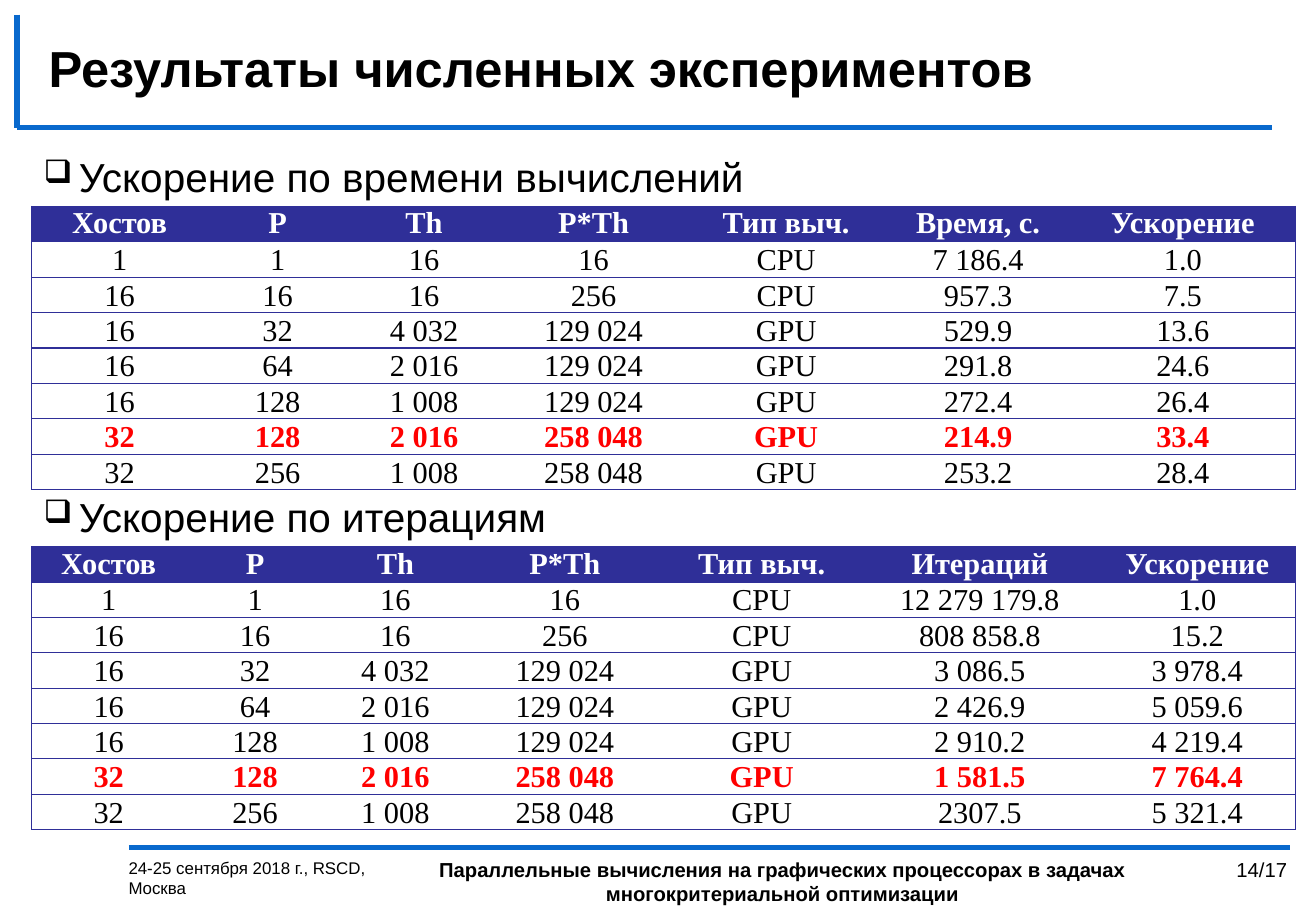
import dataclasses
import typing

import lxml.etree
import pptx
import pptx.dml.color
import pptx.enum.shapes
import pptx.enum.text
import pptx.oxml.ns
import pptx.util

Inches = pptx.util.Inches
Pt = pptx.util.Pt
qn = pptx.oxml.ns.qn
ALIGN = pptx.enum.text.PP_ALIGN
ANCHOR = pptx.enum.text.MSO_ANCHOR


@dataclasses.dataclass(frozen=True)
class Theme:
    rule: str = "0969CD"
    grid: str = "2F2F98"
    ink: str = "000000"
    paper: str = "FFFFFF"
    best: str = "FF0000"
    sans: str = "Arial"
    serif: str = "Times New Roman"
    title_size: int = 30
    heading_size: int = 24
    table_size: int = 18
    footer_size: int = 12
    date_size: int = 10
    rule_width: float = 3
    grid_width: float = 0.75


class Box(typing.NamedTuple):
    left: float
    top: float
    width: float
    height: float

    def emu(self):
        return [Inches(length) for length in self]


THEME = Theme()
SHARED_ROWS = [
    ("1", "1", "16", "16", "CPU"),
    ("16", "16", "16", "256", "CPU"),
    ("16", "32", "4 032", "129 024", "GPU"),
    ("16", "64", "2 016", "129 024", "GPU"),
    ("16", "128", "1 008", "129 024", "GPU"),
    ("32", "128", "2 016", "258 048", "GPU"),
    ("32", "256", "1 008", "258 048", "GPU"),
]
BEST_ROW = 6
SECTIONS = [
    {
        "heading": "Ускорение по времени вычислений",
        "measure": "Время, с.",
        "columns": [1.45, 1.15, 1.26, 1.53, 1.64, 1.52, 1.85],
        "results": [("7 186.4", "1.0"), ("957.3", "7.5"), ("529.9", "13.6"), ("291.8", "24.6"),
                    ("272.4", "26.4"), ("214.9", "33.4"), ("253.2", "28.4")],
    },
    {
        "heading": "Ускорение по итерациям",
        "measure": "Итераций",
        "columns": [1.27, 1.14, 1.17, 1.62, 1.62, 1.97, 1.61],
        "results": [("12 279 179.8", "1.0"), ("808 858.8", "15.2"), ("3 086.5", "3 978.4"),
                    ("2 426.9", "5 059.6"), ("2 910.2", "4 219.4"), ("1 581.5", "7 764.4"),
                    ("2307.5", "5 321.4")],
    },
]


def apply(target, values):
    for attribute, value in values.items():
        setattr(target, attribute, value)


def rgb(colour):
    return pptx.dml.color.RGBColor.from_string(colour)


def write(frame, text, size, align=ALIGN.LEFT, bold=False, colour=THEME.ink, face=THEME.sans):
    paragraph = frame.paragraphs[0]
    paragraph.alignment = align
    run = paragraph.add_run()
    run.text = text
    apply(run.font, {"name": face, "size": Pt(size), "bold": bold})
    run.font.color.rgb = rgb(colour)
    return paragraph


def add_text(slide, box, text, size, **style):
    frame = slide.shapes.add_textbox(*box.emu()).text_frame
    frame.word_wrap = True
    return write(frame, text, size, **style)


def add_rule(slide, start, end):
    rule = slide.shapes.add_connector(
        pptx.enum.shapes.MSO_CONNECTOR.STRAIGHT, *map(Inches, start + end))
    rule.line.color.rgb = rgb(THEME.rule)
    rule.line.width = Pt(THEME.rule_width)
    lxml.etree.SubElement(rule._element.spPr, qn("a:effectLst"))


def add_title(slide, box, text):
    corner = (box.left, box.top + box.height)
    add_rule(slide, corner, (box.left + box.width, corner[1]))
    add_rule(slide, (box.left, box.top), corner)
    title = slide.shapes.title
    place = Box(box.left + 0.16, box.top + 0.13, box.width, 0.61)
    apply(title, dict(zip(("left", "top", "width", "height"), place.emu())))
    apply(title.text_frame, {"vertical_anchor": ANCHOR.MIDDLE, "word_wrap": True})
    write(title.text_frame, text, THEME.title_size, bold=True)


def add_heading(slide, box, text):
    properties = add_text(slide, box, text, THEME.heading_size)._p.get_or_add_pPr()
    properties.set("marL", str(Inches(0.29)))
    properties.set("indent", str(Inches(-0.29)))
    lxml.etree.SubElement(properties, qn("a:buSzPct"), val="80000")
    lxml.etree.SubElement(properties, qn("a:buChar"), char="❑")


def set_borders(cell, visible):
    properties = cell._tc.get_or_add_tcPr()
    for side in ("L", "R", "T", "B"):
        border = lxml.etree.SubElement(
            properties, qn(f"a:ln{side}"), w=str(Pt(THEME.grid_width)))
        if side in visible:
            fill = lxml.etree.SubElement(border, qn("a:solidFill"))
            lxml.etree.SubElement(fill, qn("a:srgbClr"), val=THEME.grid)
        else:
            lxml.etree.SubElement(border, qn("a:noFill"))


def add_results(slide, box, columns, rows):
    table = slide.shapes.add_table(len(rows), len(columns), *box.emu()).table
    apply(table, {"first_row": False, "horz_banding": False})
    for column, width in zip(table.columns, columns):
        column.width = Inches(width)
    for r, values in enumerate(rows):
        header, best = r == 0, r == BEST_ROW
        colour = THEME.paper if header else THEME.best if best else THEME.ink
        for c, value in enumerate(values):
            cell = table.cell(r, c)
            apply(cell, {
                "margin_left": Inches(0.07), "margin_right": Inches(0.07),
                "margin_top": 0, "margin_bottom": 0,
                "vertical_anchor": ANCHOR.MIDDLE if header else ANCHOR.BOTTOM,
            })
            set_borders(cell, "TB" + "L" * (c == 0) + "R" * (c == len(columns) - 1))
            cell.fill.solid()
            cell.fill.fore_color.rgb = rgb(THEME.grid if header else THEME.paper)
            paragraph = write(cell.text_frame, value, THEME.table_size, align=ALIGN.CENTER,
                              bold=header or best, colour=colour, face=THEME.serif)
            paragraph.line_spacing = 0.97


def add_section(slide, box, section):
    header = ("Хостов", "P", "Th", "P*Th", "Тип выч.", section["measure"], "Ускорение")
    rows = [header] + [a + b for a, b in zip(SHARED_ROWS, section["results"])]
    add_heading(slide, box._replace(height=0.48), section["heading"])
    table_box = box._replace(top=box.top + 0.5, height=box.height - 0.5)
    add_results(slide, table_box, section["columns"], rows)


def add_footer(slide, box):
    add_rule(slide, (box.left + 0.1, box.top), (box.left + 9.66, box.top))
    top = box.top + 0.03
    add_text(slide, Box(box.left, top, 2.24, 0.49),
             "24-25 сентября 2018 г., RSCD, Москва", THEME.date_size)
    add_text(slide, Box(box.left + 2.33, top, 6.3, 0.49),
             "Параллельные вычисления на графических процессорах в задачах "
             "многокритериальной оптимизации",
             THEME.footer_size, align=ALIGN.CENTER, bold=True)
    add_text(slide, Box(box.left + box.width - 1.02, top, 1.02, 0.49),
             "14/17", THEME.footer_size, align=ALIGN.RIGHT)


def main():
    deck = pptx.Presentation()
    apply(deck, {"slide_width": Inches(10.83), "slide_height": Inches(7.5)})
    slide = deck.slides.add_slide(deck.slide_layouts[5])
    add_title(slide, Box(0.14, 0.12, 10.33, 0.93), "Результаты численных экспериментов")
    for index, section in enumerate(SECTIONS):
        add_section(slide, Box(0.26, 1.2 + 2.8 * index, 10.39, 2.72), section)
    add_footer(slide, Box(0.96, 6.98, 9.73, 0.52))
    deck.save("out.pptx")


if __name__ == "__main__":
    main()
